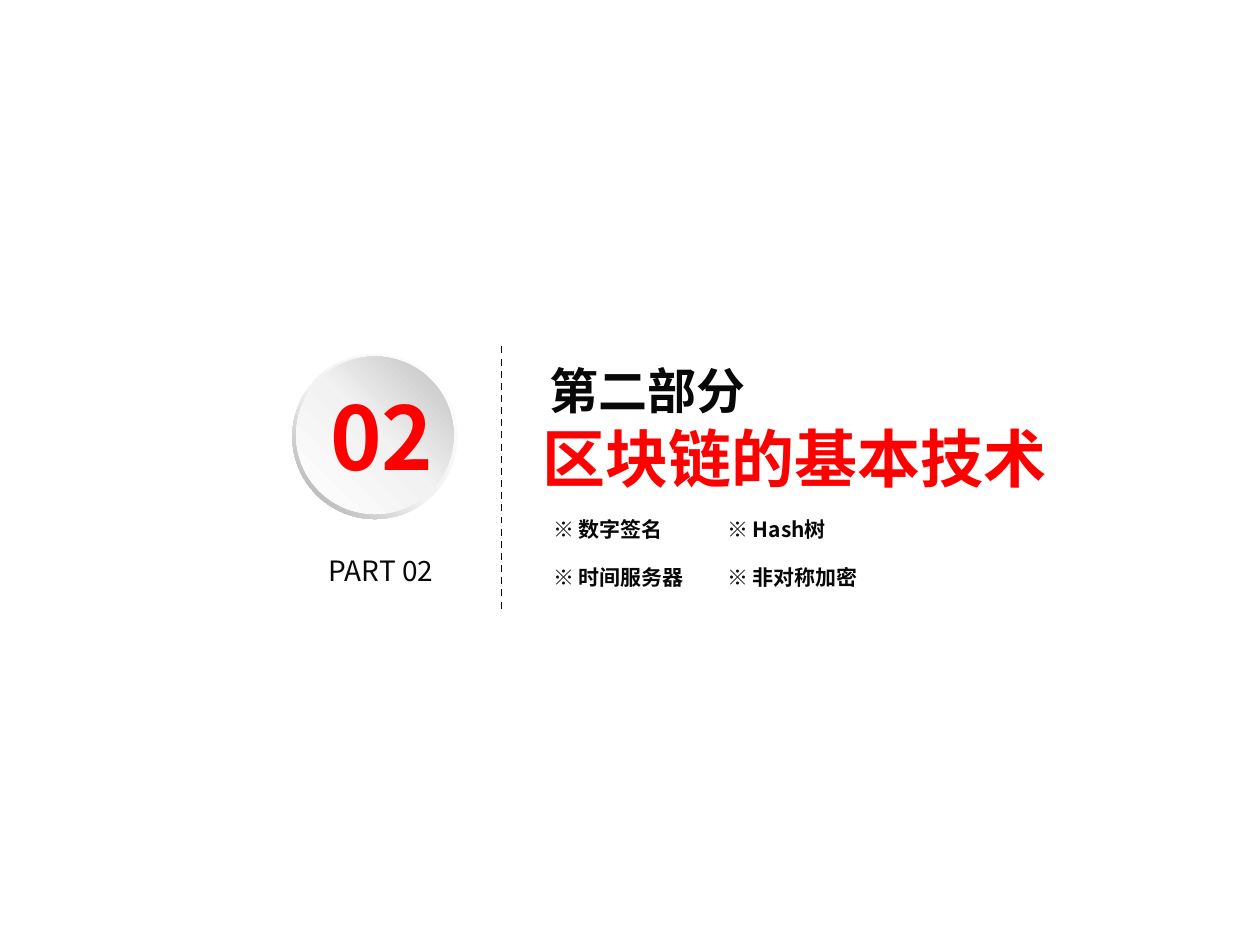
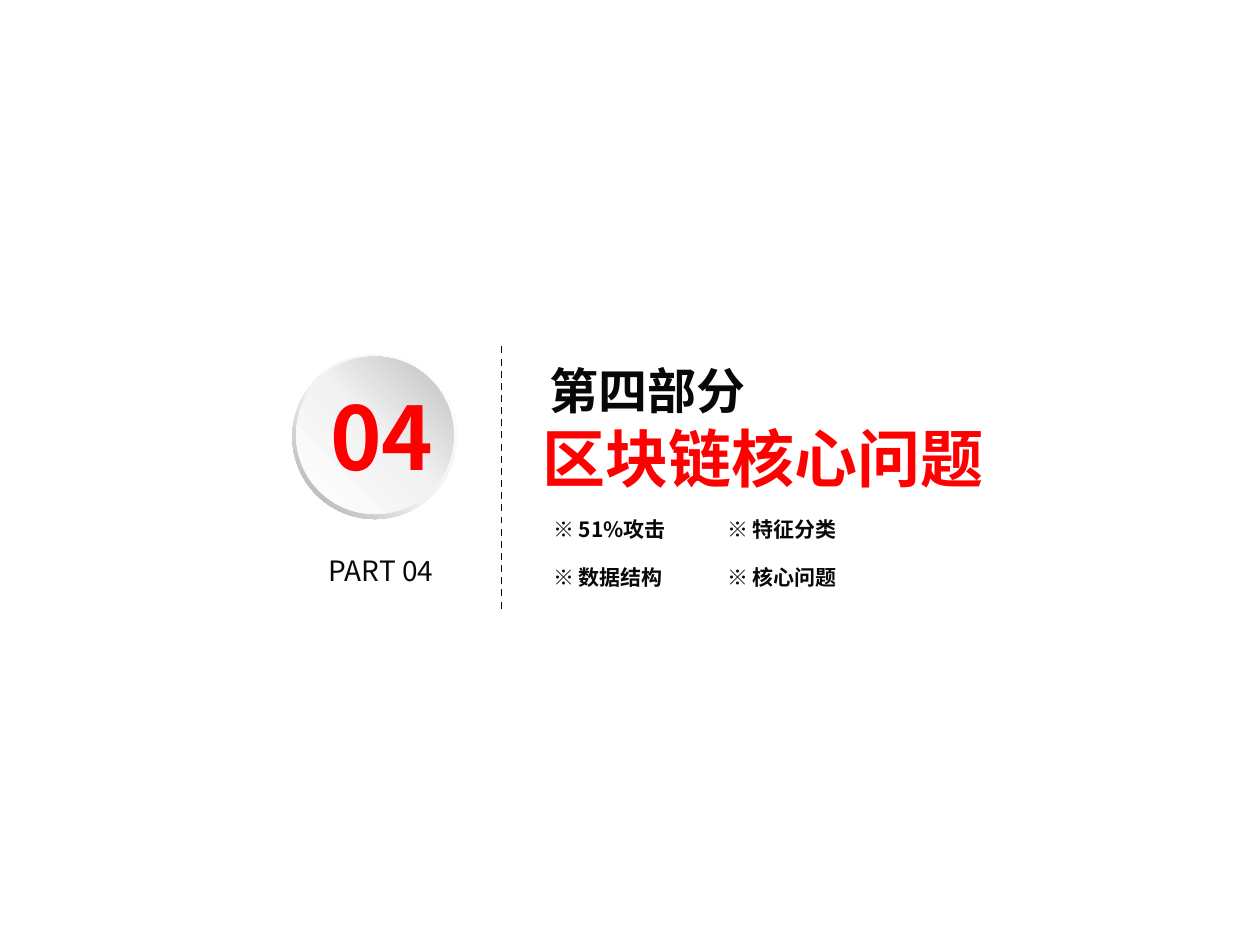
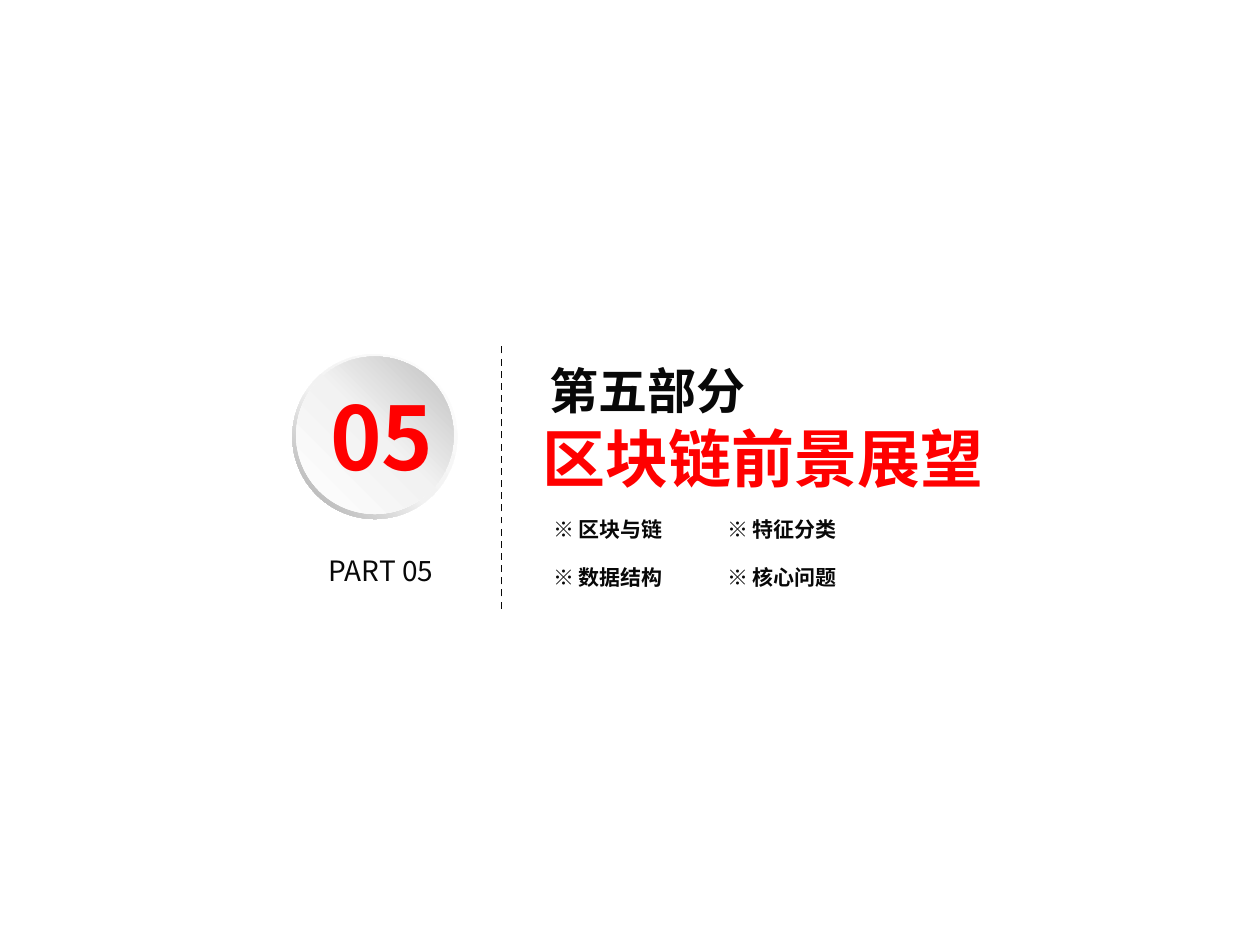
from copy import deepcopy
from dataclasses import dataclass

from lxml import etree
from pptx import Presentation
from pptx.dml.color import RGBColor
from pptx.enum.dml import MSO_LINE
from pptx.enum.shapes import MSO_CONNECTOR, MSO_SHAPE
from pptx.enum.text import MSO_AUTO_SIZE, PP_ALIGN
from pptx.oxml.ns import qn
from pptx.util import Inches, Pt

DASH = MSO_LINE.DASH
LINE = MSO_CONNECTOR.STRAIGHT
RING, DISC = MSO_SHAPE.DONUT, MSO_SHAPE.OVAL
GROW = MSO_AUTO_SIZE.SHAPE_TO_FIT_TEXT
LEFT, MID = PP_ALIGN.LEFT, PP_ALIGN.CENTER


@dataclass(frozen=True)
class Theme:
    font: str = "Noto Sans CJK SC"
    ink: str = "080808"
    red: str = "FF0000"
    rim: tuple = ((0, "FFFFFF"), (0.55, "F2F2F2"), (1, "A6A6A6"))
    face: tuple = ((0, "FFFFFF"), (0.51, "F2F2F2"), (1, "BFBFBF"))
    head: int = 28
    title: int = 36
    num: int = 50
    tag: int = 16
    item: int = 12


T = Theme()

# Grid of 100 columns by 75 rows
CELL = Inches(0.1)
COLS, ROWS = 100, 75

# Section number, heading, title, topics row by row
SECTIONS = [
    ("02", "第二部分", "区块链的基本技术",
     ["数字签名", "Hash树", "时间服务器", "非对称加密"]),
    ("04", "第四部分", "区块链核心问题",
     ["51%攻击", "特征分类", "数据结构", "核心问题"]),
    ("05", "第五部分", "区块链前景展望",
     ["区块与链", "特征分类", "数据结构", "核心问题"]),
]


def add_text(slide, box, lines, pad=(0, 0), wrap=True):
    """Each line is (text, size, colour, bold, alignment, indent)."""
    shape = slide.shapes.add_textbox(*(round(n * CELL) for n in box))
    frame = shape.text_frame
    side, edge = (round(n * CELL) for n in pad)
    look = {"margin_left": side, "margin_right": side, "margin_top": edge,
            "margin_bottom": edge, "word_wrap": wrap, "auto_size": GROW}
    for key, val in look.items():
        setattr(frame, key, val)
    for i, (text, size, hue, bold, align, dent) in enumerate(lines):
        para = frame.add_paragraph() if i else frame.paragraphs[0]
        para.alignment = align
        if dent:
            para._p.get_or_add_pPr().set("marL", str(round(dent * CELL)))
        run = para.add_run()
        run.text = text
        run.font.color.rgb = RGBColor.from_string(hue)
        for key, val in {"size": Pt(size), "bold": bold, "name": T.font}.items():
            setattr(run.font, key, val)
        etree.SubElement(run._r.rPr, qn("a:ea"), typeface=T.font)


def add_round(group, kind, box, stops, angle):
    shape = group.shapes.add_shape(kind, *(round(n * CELL) for n in box))
    shape.shadow.inherit = False
    shape.line.fill.background()
    shape.fill.gradient()
    shape.fill.gradient_angle = angle
    bag = shape._element.spPr.find(".//" + qn("a:gsLst"))
    bag.append(deepcopy(bag[0]))
    for stop, (pos, hue) in zip(shape.fill.gradient_stops, stops):
        stop.position = pos
        stop.color.rgb = RGBColor.from_string(hue)
    return shape


deck = Presentation()
deck.slide_width, deck.slide_height = COLS * CELL, ROWS * CELL
blank = deck.slide_layouts[6]

for num, head, title, items in SECTIONS:
    slide = deck.slides.add_slide(blank)

    # Heading and title
    add_text(slide, (42.1, 28.1, 5.1 * len(title) + 1.4, 11.8),
             [(head, T.head, T.ink, True, LEFT, 0.54),
              (title, T.title, T.red, True, MID, 0)],
             pad=(1, 0.5), wrap=False)

    # Dashed divider
    ends = (39.8, 48.3, 39.8, 27.3)
    rule = slide.shapes.add_connector(LINE, *(round(n * CELL) for n in ends))
    rule.line.color.rgb = RGBColor.from_string(T.ink)
    rule.line.width = Pt(1)
    rule.line.dash_style = DASH
    etree.SubElement(rule._element.spPr, qn("a:effectLst"))

    # Badge with number and tag
    add_text(slide, (26.1, 43.9, 9.9, 2.7),
             [(f"PART {num}", T.tag, T.ink, False, LEFT, 0)])
    badge = slide.shapes.add_group_shape()
    ring = add_round(badge, RING, (23.2, 28.1, 13.1, 13.1), T.rim, 225)
    ring.adjustments[0] = 0.05
    add_round(badge, DISC, (23.5, 28.3, 12.5, 12.5), T.face, 45)
    add_text(slide, (26.2, 30.4, 9.9, 8.4),
             [(num, T.num, T.red, True, LEFT, 0)])

    # Topics in two columns
    for i, item in enumerate(items):
        row, col = divmod(i, 2)
        label = f"※ {item}"
        add_text(slide, (43.2 + 13.8 * col, 40.7 + 3.8 * row,
                         1.6 * len(label) + 1.3, 2.7),
                 [(label, T.item, T.ink, True, LEFT, 0)], pad=(0.7, 0.3))

deck.save("out.pptx")
